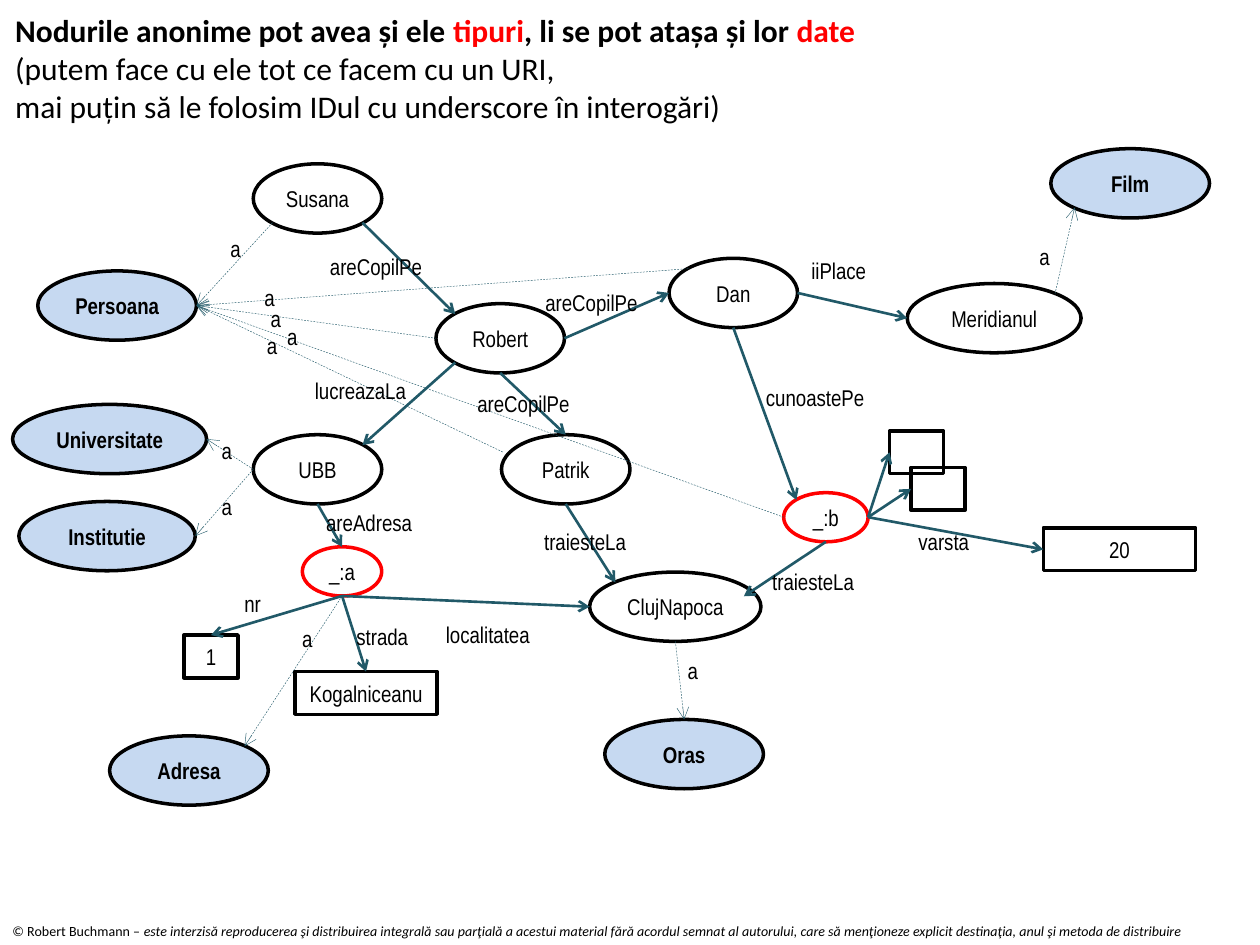
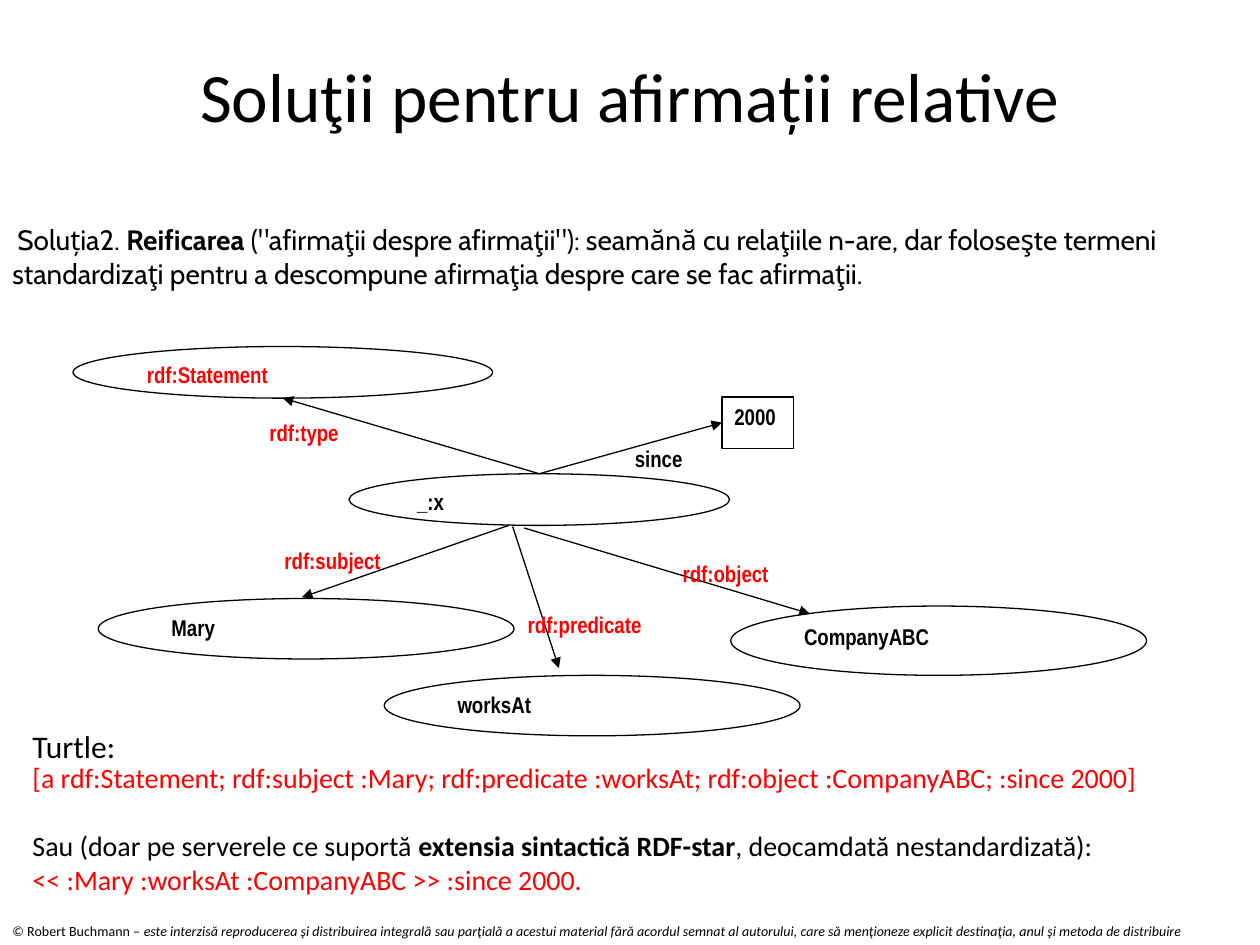
"""Two slides on RDF: a graph with anonymous nodes and a reified statement."""
from lxml import etree
from pptx import Presentation
from pptx.dml.color import RGBColor
from pptx.enum.dml import MSO_LINE
from pptx.enum.shapes import MSO_CONNECTOR, MSO_SHAPE
from pptx.enum.text import MSO_ANCHOR, MSO_AUTO_SIZE, PP_ALIGN
from pptx.oxml.ns import qn
from pptx.util import Inches, Pt

COLORS = {"black": "000000", "white": "FFFFFF", "red": "FF0000", "class": "C6D9F1", "arrow": "215968"}
SITES = {
    "top": (0.5, 0), "left": (0, 0.5), "bottom": (0.5, 1), "right": (1, 0.5),
    "top left": (0.15, 0.15), "top right": (0.85, 0.15),
    "bottom left": (0.15, 0.85), "bottom right": (0.85, 0.85),
}
RECTANGLE_SITES = {"top": 0, "left": 1, "bottom": 2, "right": 3}

presentation = Presentation()
presentation.slide_width = Inches(10)
presentation.slide_height = Inches(7.5)
COLUMN = presentation.slide_width / 100
ROW = presentation.slide_height / 75
title_only = presentation.slide_layouts[5]


def add_text(slide, box, text, kind="text", fill=None, line=None, line_width=2, font="Arial Narrow", size=13,
             color="black", bold=False, align=PP_ALIGN.LEFT, anchor=MSO_ANCHOR.TOP, inset=None):
    """Add a title, text box or shape; text is a string or paragraphs of (text, format) runs."""
    left, top, width, height = (round(value * unit) for value, unit in zip(box, (COLUMN, ROW) * 2))
    if kind == "title":
        shape = slide.shapes.title
        shape.left, shape.top, shape.width, shape.height = left, top, width, height
    elif kind == "text":
        shape = slide.shapes.add_textbox(left, top, width, height)
    else:
        shape = slide.shapes.add_shape(kind, left, top, width, height)
        shape.shadow.inherit = False
        shape.line.color.rgb = RGBColor.from_string(COLORS[line])
        shape.line.width = Pt(line_width)
        if fill:
            shape.fill.solid()
            shape.fill.fore_color.rgb = RGBColor.from_string(COLORS[fill])
        else:
            shape.fill.background()
    frame = shape.text_frame
    frame.word_wrap = True
    frame.auto_size = MSO_AUTO_SIZE.NONE
    frame.vertical_anchor = anchor
    if inset is not None:
        frame.margin_left = frame.margin_right = frame.margin_top = frame.margin_bottom = inset
    paragraphs = [[(text, {})]] if isinstance(text, str) else text
    for index, runs in enumerate(paragraphs):
        paragraph = frame.add_paragraph() if index else frame.paragraphs[0]
        paragraph.alignment = align
        for run_text, run_format in runs:
            if not run_text:
                continue
            run = paragraph.add_run()
            run.text = run_text
            run.font.name = font
            run.font.size = Pt(size)
            run.font.bold = run_format.get("bold", bold)
            run.font.italic = run_format.get("italic", False)
            run.font.color.rgb = RGBColor.from_string(COLORS[run_format.get("color", color)])
    return shape


def add_arrow(slide, start, start_site, end, end_site, color="arrow", width=1.5, head="arrow", dashed=False):
    """Draw an arrow between sites of two nodes, given by name or as shares of the node's size."""
    points = []
    for node, site in ((start, start_site), (end, end_site)):
        across, down = SITES.get(site, site)
        points += [round(node.left + across * node.width), round(node.top + down * node.height)]
    connector = slide.shapes.add_connector(MSO_CONNECTOR.STRAIGHT, *points)
    if end.auto_shape_type == MSO_SHAPE.RECTANGLE:
        connector.end_connect(end, RECTANGLE_SITES[end_site])
    connector.line.color.rgb = RGBColor.from_string(COLORS[color])
    connector.line.width = Pt(width)
    if dashed:
        connector.line.dash_style = MSO_LINE.DASH
    properties = connector.element.spPr
    etree.SubElement(properties.find(qn("a:ln")), qn("a:tailEnd"), type=head)
    etree.SubElement(properties, qn("a:effectLst"))


graph_slide = presentation.slides.add_slide(title_only)
footer = add_text(graph_slide, (0, 72.7, 100, 2.4), [[
    ("© Robert Buchmann – ", {}),
    ("este interzisă reproducerea şi distribuirea integrală sau parţială a acestui material fără acordul semnat "
     "al autorului, care să menţioneze explicit destinaţia, anul şi metoda de distribuire", {"italic": True}),
]], font="Calibri", size=8)
title_only.shapes.element.append(footer.element)

strong, strong_red = {"bold": True}, {"bold": True, "color": "red"}
add_text(graph_slide, (0.2, 0.4, 99.8, 10.1), [
    [("Nodurile anonime pot avea și ele ", strong), ("tipuri", strong_red),
     (", li se pot atașa și lor ", strong), ("date", strong_red)],
    [("(putem face cu ele tot ce facem cu un URI,", {})],
    [("mai puțin să le folosim IDul cu underscore în interogări)", {})],
], kind="title", font="Calibri", size=18)

individual = {"kind": MSO_SHAPE.OVAL, "line": "black"}
class_node = {"kind": MSO_SHAPE.OVAL, "line": "black", "fill": "class", "bold": True}
anonymous = {"kind": MSO_SHAPE.OVAL, "line": "red"}
literal = {"kind": MSO_SHAPE.RECTANGLE, "line": "black"}
graph_nodes = {}
for name, text, box, style in (
    ("Robert", "Robert", (34.6, 24.1, 10.2, 5.5), individual),
    ("UBB", "UBB", (20.1, 34.5, 10.2, 5.5), individual),
    ("Dan", "Dan", (53.1, 20.5, 10.2, 5.5), individual),
    ("movie", "Meridianul", (72, 22.5, 13.8, 5.5), individual),
    ("Susana", "Susana", (20.1, 13, 10.2, 5.5), individual),
    ("ClujNapoca", "ClujNapoca", (46.8, 45.4, 13.6, 5.5), individual),
    ("Patrik", "Patrik", (39.8, 34.5, 10.2, 5.5), individual),
    ("_:b", "_:b", (62.2, 39.1, 6.7, 3.9), anonymous),
    ("_:a", "_:a", (24, 43.4, 6.3, 3.9), anonymous),
    ("number", "1", (14.6, 50.4, 4.3, 3.4), literal),
    ("street", "Kogalniceanu", (23.4, 53.3, 11.3, 3.4), literal),
    ("Persoana", "Persoana", (3, 21.5, 12.6, 5.5), class_node),
    ("Oras", "Oras", (48, 57.1, 12.6, 5.5), class_node),
    ("Film", "Film", (83.4, 11.8, 12.6, 5.5), class_node),
    ("Universitate", "Universitate", (1, 32.1, 15.4, 5.5), class_node),
    ("Institutie", "Institutie", (1.5, 39.8, 14, 5.5), class_node),
    ("Adresa", "Adresa", (8.7, 58.4, 12.6, 5.5), class_node),
    ("lower box", "", (72.3, 37.1, 4.3, 3.4), literal),
    ("age", "20", (82.8, 41.9, 12.1, 3.4), literal),
    ("upper box", "", (70.6, 34.2, 4.3, 3.4), literal),
):
    graph_nodes[name] = add_text(graph_slide, box, text, align=PP_ALIGN.CENTER, anchor=MSO_ANCHOR.MIDDLE,
                                 inset=0, **style)

for start, start_site, end, end_site in (
    ("Susana", "bottom right", "Robert", "top left"),
    ("Robert", "right", "Dan", "left"),
    ("Dan", "right", "movie", "left"),
    ("Robert", "bottom", "Patrik", "top"),
    ("Robert", "bottom left", "UBB", "top right"),
    ("Patrik", "bottom", "ClujNapoca", "top left"),
    ("Dan", "bottom", "_:b", "top left"),
    ("_:b", "bottom", "ClujNapoca", (0.9, 0.35)),
    ("UBB", "bottom", "_:a", "top"),
    ("_:a", "bottom", "number", "top"),
    ("_:a", "bottom", "street", "top"),
    ("_:a", "bottom", "ClujNapoca", "left"),
    ("_:b", "right", "age", "left"),
    ("_:b", "right", "lower box", "left"),
    ("_:b", "right", "upper box", "left"),
):
    add_arrow(graph_slide, graph_nodes[start], start_site, graph_nodes[end], end_site)

for start, start_site, end, end_site in (
    ("Susana", "bottom left", "Persoana", "right"),
    ("Robert", "left", "Persoana", "right"),
    ("Dan", "top left", "Persoana", "right"),
    ("_:b", "left", "Persoana", "right"),
    ("Patrik", (0.01, 0.25), "Persoana", "right"),
    ("UBB", "left", "Universitate", "right"),
    ("UBB", "left", "Institutie", "right"),
    ("ClujNapoca", "bottom", "Oras", "top"),
    ("movie", "top right", "Film", "bottom left"),
    ("_:a", "bottom", "Adresa", "top right"),
):
    add_arrow(graph_slide, graph_nodes[start], start_site, graph_nodes[end], end_site, width=0.25, dashed=True)

for text, places in {
    "areCopilPe": ((42.3, 22.4), (25.2, 19.6), (36.9, 30.4)),
    "lucreazaLa": ((24, 29.4),),
    "traiesteLa": ((42.2, 41.4), (60.3, 44.6)),
    "iiPlace": ((63.4, 19.9),),
    "areAdresa": ((24.9, 39.9),),
    "nr": ((18.4, 46.3),),
    "strada": ((27.3, 48.9),),
    "localitatea": ((34.4, 48.8),),
    "cunoastePe": ((59.8, 30),),
    "varsta": ((71.9, 41.4),),
    "a": ((17.3, 18.1), (20, 22), (20.5, 23.7), (20.2, 25.8), (21.8, 25.1), (16.6, 34.2), (16.6, 38.6),
          (23, 49.1), (53.6, 51.6), (81.5, 18.8)),
}.items():
    for left, top in places:
        add_text(graph_slide, (left, top, 5.1 if len(text) < 3 else 12.1, 3.2), text)

reification_slide = presentation.slides.add_slide(title_only)
add_text(reification_slide, (5, 4.2, 90, 6.7), "Soluţii pentru afirmații relative", kind="title",
         font="Calibri", size=39.6, align=PP_ALIGN.CENTER, anchor=MSO_ANCHOR.MIDDLE)
introduction = add_text(reification_slide, (0, 17.2, 100, 7), [[
    ("Soluția2. ", {}), ("Reificarea", strong),
    (" (\"afirmaţii despre afirmaţii\"): seamănă cu relaţiile n-are, dar foloseşte termeni standardizaţi "
     "pentru a descompune afirmaţia despre care se fac afirmaţii.", {}),
]], font="Cabin", size=16)
introduction.text_frame.paragraphs[0]._p.get_or_add_pPr().set("indent", str(Inches(0.04)))

statement_nodes = {}
for text, box, kind, color in (
    ("worksAt", (30.5, 53.6, 33, 4.8), MSO_SHAPE.OVAL, "black"),
    ("2000", (57.3, 31.5, 5.7, 4.1), MSO_SHAPE.RECTANGLE, "black"),
    ("_:x", (27.7, 37.6, 30.2, 4.1), MSO_SHAPE.OVAL, "black"),
    ("CompanyABC", (58, 48.1, 33, 5.5), MSO_SHAPE.OVAL, "black"),
    ("Mary", (7.8, 47.5, 33, 4.8), MSO_SHAPE.OVAL, "black"),
    ("rdf:Statement", (5.8, 27.5, 33.3, 4.1), MSO_SHAPE.OVAL, "red"),
):
    statement_nodes[text] = add_text(reification_slide, box, text, kind=kind, fill="white", line="black",
                                     line_width=0.75, color=color, bold=True)

for start_site, end, end_site in (
    ("top", "2000", "left"),
    ("top", "rdf:Statement", "bottom"),
    ((0.42, 1), "Mary", (0.49, -0.02)),
    ((0.43, 1.02), "worksAt", (0.42, -0.12)),
    ((0.46, 1.05), "CompanyABC", (0.19, 0.11)),
):
    add_arrow(reification_slide, statement_nodes["_:x"], start_site, statement_nodes[end], end_site,
              color="black", width=0.75, head="triangle")

for text, left, top, color in (
    ("rdf:subject", 21.6, 42.9, "red"),
    ("since", 49.4, 34.8, "black"),
    ("rdf:predicate", 40.9, 48, "red"),
    ("rdf:object", 53.2, 43.9, "red"),
    ("rdf:type", 20.4, 32.7, "red"),
):
    add_text(reification_slide, (left, top, 15, 3.2), text, color=color, bold=True)

red = {"color": "red"}
turtle_code = add_text(reification_slide, (1.6, 59.9, 93, 11.8), [
    [("[a rdf:Statement; rdf:subject :Mary; rdf:predicate :worksAt; rdf:object :CompanyABC; :since 2000]", red)],
    [("Sau (doar pe serverele ce suportă ", {}), ("extensia sintactică RDF-star", strong),
     (", deocamdată nestandardizată):", {})],
    [("<< :Mary :worksAt :CompanyABC >> :since 2000.", red)],
], font="Calibri", size=16)
turtle_code.text_frame.paragraphs[1].space_before = Pt(19.5)
add_text(reification_slide, (1.6, 57.2, 10, 4), "Turtle:", font="Calibri", size=18)

presentation.save("out.pptx")
